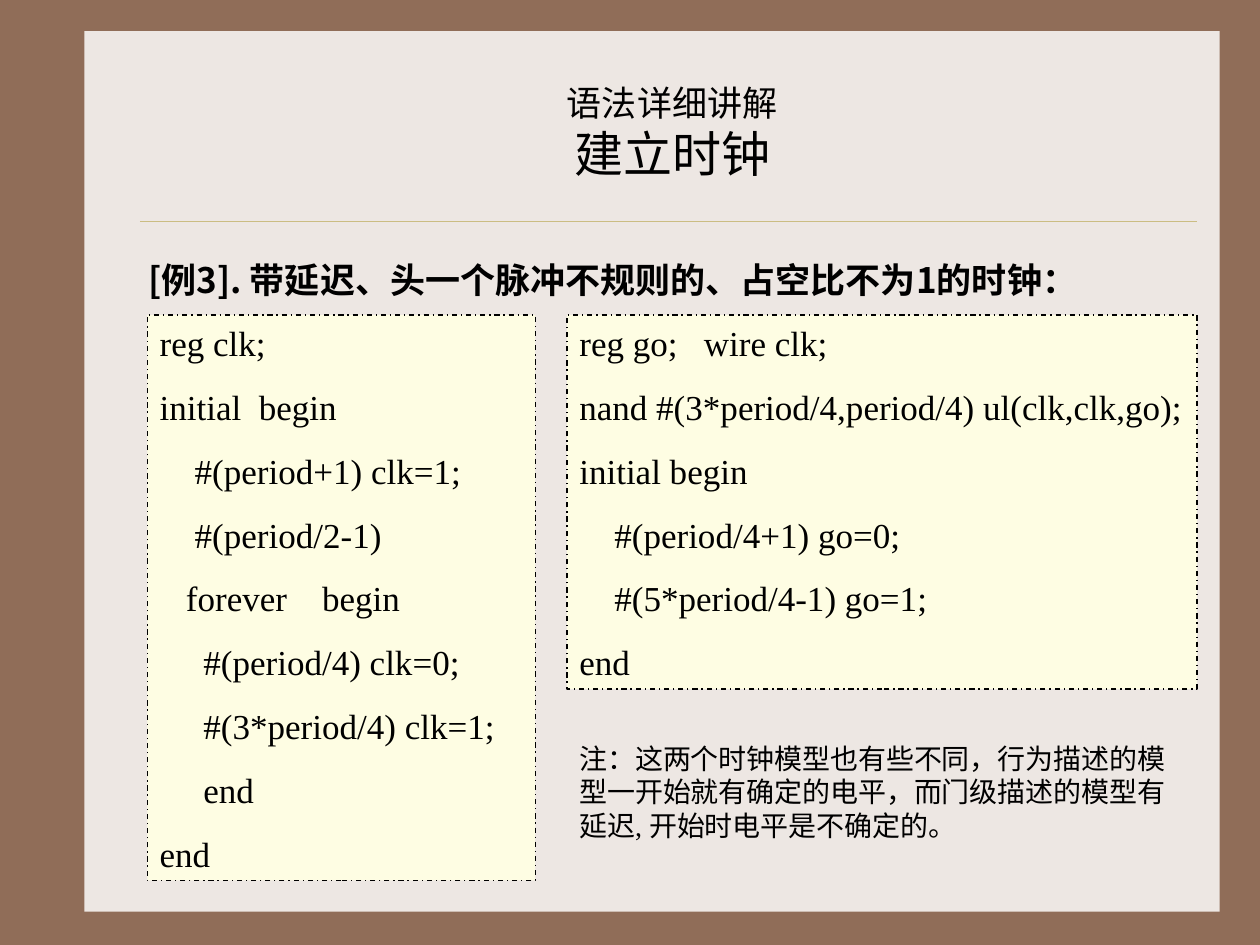
from lxml import etree
from pptx import Presentation
from pptx.dml.color import RGBColor
from pptx.enum.dml import MSO_LINE
from pptx.enum.shapes import MSO_CONNECTOR, MSO_SHAPE
from pptx.enum.text import MSO_ANCHOR, MSO_AUTO_SIZE, PP_ALIGN
from pptx.oxml.ns import qn
from pptx.util import Cm, Pt

RECTANGLE = MSO_SHAPE.RECTANGLE
STRAIGHT = MSO_CONNECTOR.STRAIGHT
DASH_DOT = MSO_LINE.DASH_DOT
TOP, MIDDLE = MSO_ANCHOR.TOP, MSO_ANCHOR.MIDDLE
LEFT, CENTER, JUSTIFY = PP_ALIGN.LEFT, PP_ALIGN.CENTER, PP_ALIGN.JUSTIFY
FIXED_SIZE = MSO_AUTO_SIZE.NONE

CJK_FONT = "Noto Sans CJK SC"
CODE_FONT = "Times New Roman"
BLACK, BROWN, PAPER, GOLD, CREAM = "000000", "906D58", "EDE7E3", "CBBD83", "FEFDE3"

BEHAVIORAL_CLOCK = """reg clk;
initial  begin
    #(period+1) clk=1;
    #(period/2-1)
   forever    begin
     #(period/4) clk=0;
     #(3*period/4) clk=1;
     end
end"""
GATE_CLOCK = """reg go;   wire clk;
nand #(3*period/4,period/4) ul(clk,clk,go);
initial begin
    #(period/4+1) go=0;
    #(5*period/4-1) go=1;
end"""
NOTE = ("注：这两个时钟模型也有些不同，行为描述的模型一开始就有确定的电平，"
        "而门级描述的模型有延迟, 开始时电平是不确定的。")


def color(hex_value):
    return RGBColor.from_string(hex_value)


def place(shape, left, top, width, height):
    shape.left, shape.top = Cm(left), Cm(top)
    shape.width, shape.height = Cm(width), Cm(height)


def set_frame(frame, anchor):
    frame.word_wrap = True
    frame.auto_size = FIXED_SIZE
    frame.vertical_anchor = anchor
    frame.margin_left = frame.margin_right = Cm(0.25)
    frame.margin_top = frame.margin_bottom = Cm(0.13)


def format_paragraph(paragraph, size, font_name, align=LEFT, bold=False, before=0):
    paragraph.alignment = align
    paragraph.space_before = Pt(before)
    for run in paragraph.runs:
        run.font.size = Pt(size)
        run.font.name = font_name
        run.font.bold = bold
        run.font.color.rgb = color(BLACK)
        east_asian = etree.SubElement(run.font._element, qn("a:ea"))
        east_asian.set("typeface", CJK_FONT)


def add_box(slide, left, top, width, height, fill):
    box = slide.shapes.add_shape(RECTANGLE, Cm(left), Cm(top), Cm(width), Cm(height))
    box.shadow.inherit = False
    box.fill.solid()
    box.fill.fore_color.rgb = color(fill)
    box.line.fill.background()
    return box


def add_backdrop(slide):
    slide.background.fill.solid()
    slide.background.fill.fore_color.rgb = color(BROWN)
    panel = add_box(slide, 1.7, 0.63, 22.89, 17.75, PAPER)
    rule = slide.shapes.add_connector(STRAIGHT, Cm(2.82), Cm(4.45), Cm(24.13), Cm(4.45))
    rule.line.color.rgb = color(GOLD)
    rule.line.width = Pt(0.25)
    etree.SubElement(rule.element.spPr, qn("a:effectLst"))
    # The placeholders belong in front of the panel and the rule
    for part in (panel, rule):
        slide.shapes.title.element.addprevious(part.element)


def set_title(slide):
    title = slide.shapes.title
    place(title, 2.97, 1.07, 21.16, 3.17)
    set_frame(title.text_frame, MIDDLE)
    title.text_frame.text = "语法详细讲解\v建立时钟"
    heading = title.text_frame.paragraphs[0]
    format_paragraph(heading, 20, CJK_FONT, CENTER)
    heading.runs[1].font.size = Pt(28)


def set_example_heading(slide):
    body = slide.placeholders[1]
    place(body, 2.74, 5.08, 21.59, 12.7)
    set_frame(body.text_frame, TOP)
    body.text_frame.text = "[例3]. 带延迟、头一个脉冲不规则的、占空比不为1的时钟："
    example = body.text_frame.paragraphs[0]
    properties = example._p.get_or_add_pPr()
    properties.set("marL", str(Cm(0.95)))
    properties.set("indent", str(Cm(-0.95)))
    etree.SubElement(properties, qn("a:buNone"))
    format_paragraph(example, 20, CJK_FONT, bold=True)


def add_code_box(slide, left, width, height, code):
    box = add_box(slide, left, 6.35, width, height, CREAM)
    box.line.color.rgb = color(BLACK)
    box.line.width = Pt(0.75)
    box.line.dash_style = DASH_DOT
    set_frame(box.text_frame, TOP)
    box.text_frame.text = code
    for number, code_line in enumerate(box.text_frame.paragraphs):
        format_paragraph(code_line, 20, CODE_FONT, JUSTIFY, before=12.5 if number else 0)


def add_note(slide):
    note = slide.shapes.add_textbox(Cm(11.43), Cm(14.81), Cm(12.7), Cm(2.29))
    set_frame(note.text_frame, TOP)
    note.text_frame.text = NOTE
    format_paragraph(note.text_frame.paragraphs[0], 16, CODE_FONT)


def main():
    presentation = Presentation()
    presentation.slide_width, presentation.slide_height = Cm(25.4), Cm(19.05)
    slide = presentation.slides.add_slide(presentation.slide_layouts[1])
    add_backdrop(slide)
    set_title(slide)
    set_example_heading(slide)
    # Behavioral model on the left, gate-level model on the right
    add_code_box(slide, 2.97, 7.82, 11.4, BEHAVIORAL_CLOCK)
    add_code_box(slide, 11.43, 12.7, 7.54, GATE_CLOCK)
    add_note(slide)
    presentation.save("out.pptx")


if __name__ == "__main__":
    main()
